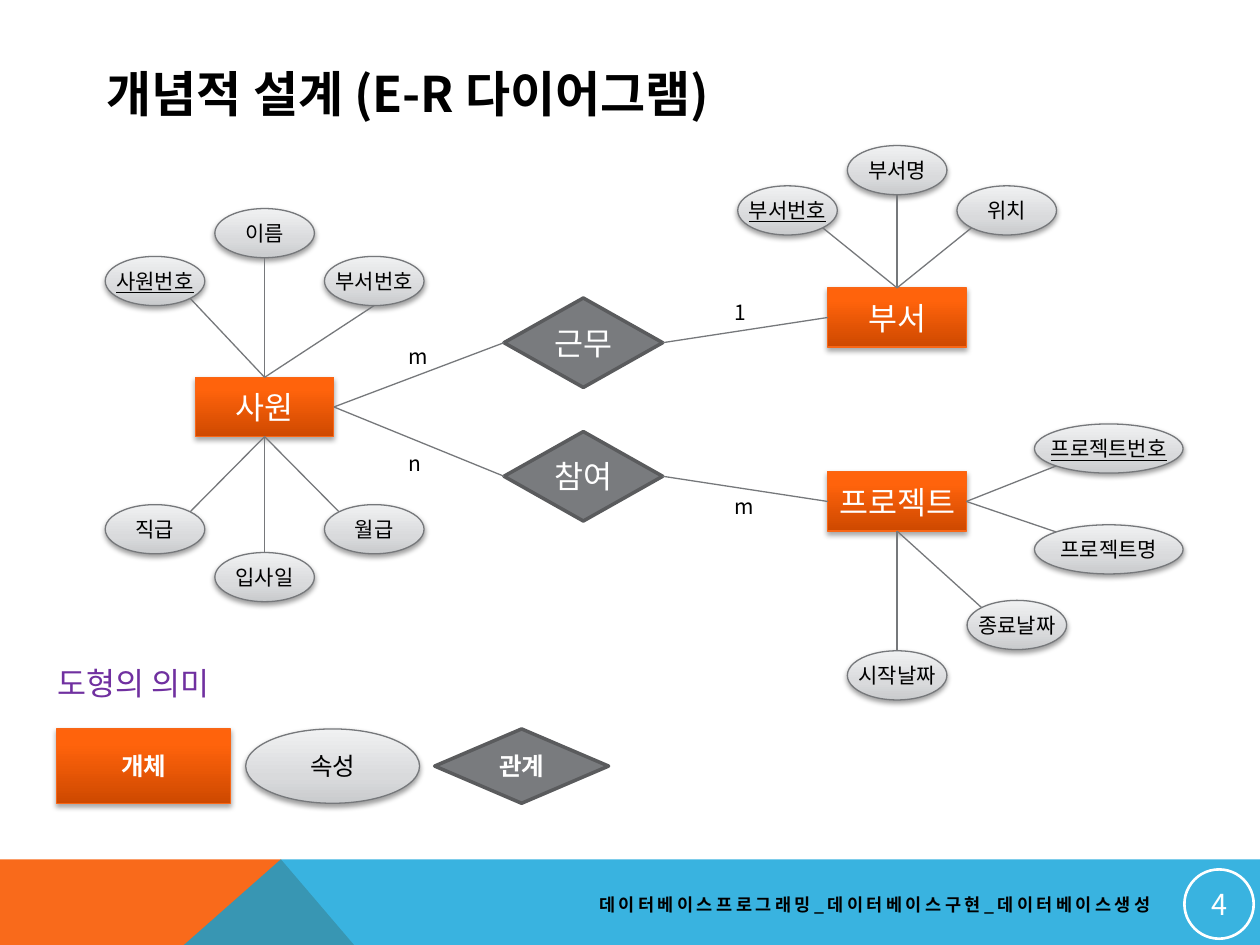
from math import hypot

from lxml.etree import SubElement
from pptx import Presentation
from pptx.dml.color import RGBColor
from pptx.enum.shapes import MSO_CONNECTOR, MSO_SHAPE as SHAPE
from pptx.enum.text import MSO_ANCHOR as ANCHOR, MSO_AUTO_SIZE as AUTO, PP_ALIGN as ALIGN
from pptx.oxml import parse_xml
from pptx.oxml.ns import nsdecls, qn
from pptx.util import Inches, Pt

FONT = "Noto Sans CJK KR"
TITLE = "개념적 설계 (E-R 다이어그램)"
FOOTER = "데이터베이스프로그래밍_데이터베이스구현_데이터베이스생성"
PAGE = "4"
LEGEND_TITLE = "도형의 의미"
LEGEND = [("개체", "entity", True), ("속성", "attribute", False), ("관계", "legend relation", True)]

# Directions from the centre of a shape to a point on its edge
UP, DOWN, LEFT, RIGHT = (0, -1), (0, 1), (-1, 0), (1, 0)
UP_LEFT, UP_RIGHT, DOWN_LEFT, DOWN_RIGHT = (-1, -1), (1, -1), (-1, 1), (1, 1)

SPREAD = 0.87  # sideways step between neighbouring attributes
SMALL, WIDE = (0.79, 0.39), (1.18, 0.39)
ENTITY_SIZE, RELATION_SIZE, LEGEND_SIZE = (1.1, 0.47), (1.26, 0.71), (1.38, 0.59)

# Entity: centre, then attributes as
# (name, offset from the centre, size, key?, entity side, attribute side)
ENTITIES = {
    "사원": ((2.1, 3.23), [
        ("사원번호", (-SPREAD, -1), SMALL, True, UP, DOWN_RIGHT),
        ("이름", (0, -1.38), SMALL, False, UP, DOWN),
        ("부서번호", (SPREAD, -1), SMALL, False, UP, DOWN),
        ("직급", (-SPREAD, 0.97), SMALL, False, DOWN, UP_RIGHT),
        ("입사일", (0, 1.35), SMALL, False, DOWN, UP),
        ("월급", (SPREAD, 0.97), SMALL, False, DOWN, UP_LEFT),
    ]),
    "부서": ((7.12, 2.52), [
        ("부서번호", (-SPREAD, -0.85), SMALL, True, UP, DOWN_RIGHT),
        ("부서명", (0, -1.17), SMALL, False, UP, DOWN),
        ("위치", (SPREAD, -0.85), SMALL, False, UP, DOWN_LEFT),
    ]),
    "프로젝트": ((7.12, 3.98), [
        ("프로젝트번호", (1.68, -0.42), WIDE, True, RIGHT, DOWN_LEFT),
        ("프로젝트명", (1.68, 0.38), WIDE, False, RIGHT, UP_LEFT),
        ("시작날짜", (0, 1.38), SMALL, False, DOWN, UP),
        ("종료날짜", (0.95, 0.98), SMALL, False, DOWN, UP_LEFT),
    ]),
}
# Relation: name, centre, left entity, right entity
RELATIONS = [("근무", (4.63, 2.72), "사원", "부서"), ("참여", (4.63, 3.78), "사원", "프로젝트")]
CARDINALITIES = [("m", 3.14, 2.68), ("1", 5.73, 2.33), ("m", 5.73, 3.87), ("n", 3.14, 3.53)]

# Shape, fill (one colour or gradient stops), line, line width, text colour,
# shadow (opacity %, distance pt)
STYLES = {
    "entity": (SHAPE.RECTANGLE, [(0, "CE4900"), (80, "FF630C"), (100, "FF640E")],
               "F96615", 0.75, "FFFFFF", (35, 1.8)),
    "attribute": (SHAPE.OVAL, [(0, "C9CBCD"), (35, "D9DADC"), (100, "F0F1F2")],
                  "76787B", 0.75, "000000", (38, 1.6)),
    "relation": (SHAPE.DIAMOND, "797B7E", "5A5B5D", 2, "FFFFFF", None),
    "legend relation": (SHAPE.FLOWCHART_DECISION, "797B7E", "5A5B5D", 2, "FFFFFF", None),
}

prs = Presentation()
prs.slide_width, prs.slide_height = Inches(10), Inches(7.5)
slide = prs.slides.add_slide(prs.slide_layouts[6])
shapes = slide.shapes


def rgb(hex_color):
    return RGBColor.from_string(hex_color)


def write(frame, text, size, color, align=ALIGN.LEFT, bold=False, underline=False):
    frame.text = text
    paragraph = frame.paragraphs[0]
    paragraph.alignment = align
    run = paragraph.runs[0]
    font = run.font
    font.name, font.size, font.bold, font.underline = FONT, Pt(size), bold, underline
    font.color.rgb = rgb(color)
    SubElement(font._element, qn("a:ea")).set("typeface", FONT)
    return run


def add_label(text, box, size, color, wrap=False, **look):
    frame = shapes.add_textbox(*map(Inches, box)).text_frame
    frame.word_wrap = wrap
    frame.auto_size = AUTO.NONE if wrap else AUTO.SHAPE_TO_FIT_TEXT
    frame.vertical_anchor = ANCHOR.MIDDLE if wrap else ANCHOR.TOP
    return write(frame, text, size, color, **look)


def add_node(text, kind, centre, size, text_size, **look):
    preset, fill, line, width, text_color, shadow = STYLES[kind]
    (x, y), (w, h) = centre, size
    node = shapes.add_shape(preset, *map(Inches, (x - w / 2, y - h / 2, w, h)))
    properties = node._element.spPr
    if isinstance(fill, str):
        node.fill.solid()
        node.fill.fore_color.rgb = rgb(fill)
    else:
        stops = "".join(f'<a:gs pos="{pos * 1000}"><a:srgbClr val="{color}"/></a:gs>'
                        for pos, color in fill)
        properties.append(parse_xml(
            f'<a:gradFill {nsdecls("a")} rotWithShape="1"><a:gsLst>{stops}</a:gsLst>'
            '<a:lin ang="16200000" scaled="0"/></a:gradFill>'))
    node.line.color.rgb, node.line.width = rgb(line), Pt(width)
    node.shadow.inherit = False
    if shadow:
        opacity, distance = shadow
        properties.find(qn("a:effectLst")).append(parse_xml(
            f'<a:outerShdw {nsdecls("a")} blurRad="{Pt(3.1)}" dist="{Pt(distance)}" '
            'dir="5400000" rotWithShape="0"><a:srgbClr val="000000">'
            f'<a:alpha val="{opacity * 1000}"/></a:srgbClr></a:outerShdw>'))
    frame = node.text_frame
    frame.word_wrap, frame.vertical_anchor = False, ANCHOR.MIDDLE
    write(frame, text, text_size, text_color, ALIGN.CENTER, **look)


def edge(centre, size, direction):
    reach = hypot(*direction)  # diagonals lie on the ellipse
    return [c + d * s / 2 / reach for c, s, d in zip(centre, size, direction)]


def add_link(start, end):
    link = shapes.add_connector(MSO_CONNECTOR.STRAIGHT, *map(Inches, (*start, *end)))
    link.line.color.rgb, link.line.width = rgb("76787B"), Pt(0.75)
    SubElement(link._element.spPr, qn("a:effectLst"))


def add_band(points, color, opacity=100):
    builder = shapes.build_freeform(*map(Inches, points[0]), scale=1.0)
    builder.add_line_segments([tuple(map(Inches, point)) for point in points[1:]])
    band = builder.convert_to_shape()
    band.shadow.inherit = False
    band.fill.solid()
    band.fill.fore_color.rgb = rgb(color)
    band.line.fill.background()
    SubElement(band._element.spPr.find(qn("a:solidFill"))[0],
               qn("a:alpha")).set("val", str(opacity * 1000))


# Footer bands, page number and footer text
add_band([(0, 6.82), (2.23, 6.82), (2.81, 7.5), (0, 7.5)], "F96A1B")
add_band([(2.23, 6.82), (10, 6.82), (10, 7.5), (1.46, 7.5)], "08A1D9", 80)
page = shapes.add_shape(SHAPE.OVAL, *map(Inches, (9.4, 6.9, 0.55, 0.55)))
page.shadow.inherit = False
page.fill.background()
page.line.color.rgb, page.line.width = rgb("FFFFFF"), Pt(1.5)
page_frame = page.text_frame
page_frame.vertical_anchor = ANCHOR.MIDDLE
page_frame.margin_left = page_frame.margin_right = Inches(0.01)
page_frame.margin_top = page_frame.margin_bottom = Inches(0.01)
write(page_frame, PAGE, 16.5, "FFFFFF", ALIGN.CENTER)
footer = add_label(FOOTER, (4.06, 7.03, 5.17, 0.3), 10, "000000", wrap=True,
                   align=ALIGN.RIGHT, bold=True)
footer.font._element.set("spc", "200")

# Title and legend
add_label(TITLE, (0.75, 0.44, 8.22, 0.6), 28, "000000", wrap=True, bold=True)
add_label(LEGEND_TITLE, (0.36, 5.22, 1.55, 0.4), 18, "7030A0")
for i, (name, kind, bold) in enumerate(LEGEND):
    add_node(name, kind, (1.14 + 1.5 * i, 6.08), LEGEND_SIZE, 14, bold=bold)

# Entities with their attributes
for entity, (centre, attributes) in ENTITIES.items():
    add_node(entity, "entity", centre, ENTITY_SIZE, 18)
    for name, offset, size, is_key, entity_side, side in attributes:
        place = [c + o for c, o in zip(centre, offset)]
        add_node(name, "attribute", place, size, 12, underline=is_key)
        add_link(edge(centre, ENTITY_SIZE, entity_side), edge(place, size, side))

# Relations between entities
for name, centre, left, right in RELATIONS:
    add_node(name, "relation", centre, RELATION_SIZE, 18)
    add_link(edge(ENTITIES[left][0], ENTITY_SIZE, RIGHT), edge(centre, RELATION_SIZE, LEFT))
    add_link(edge(centre, RELATION_SIZE, RIGHT), edge(ENTITIES[right][0], ENTITY_SIZE, LEFT))
for mark, x, y in CARDINALITIES:
    add_label(mark, (x, y, 0.33, 0.3), 12, "000000")

prs.save("out.pptx")
